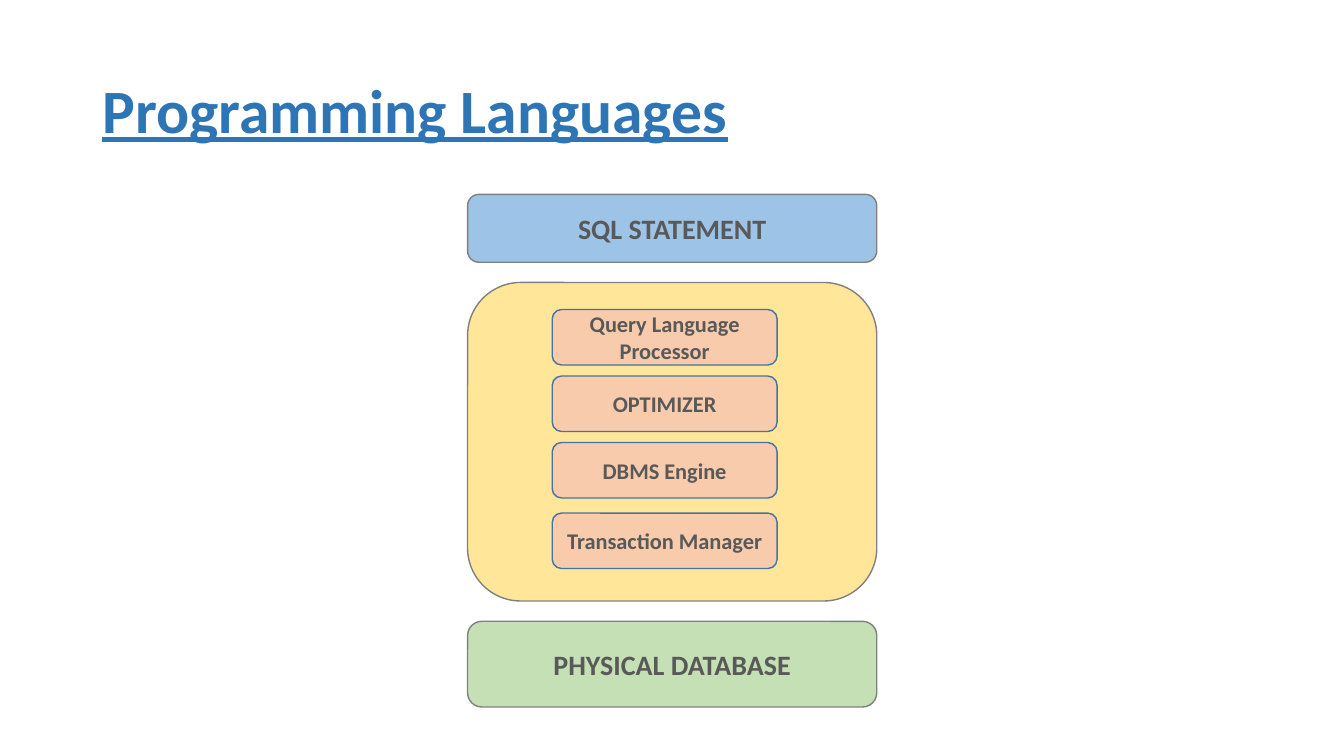
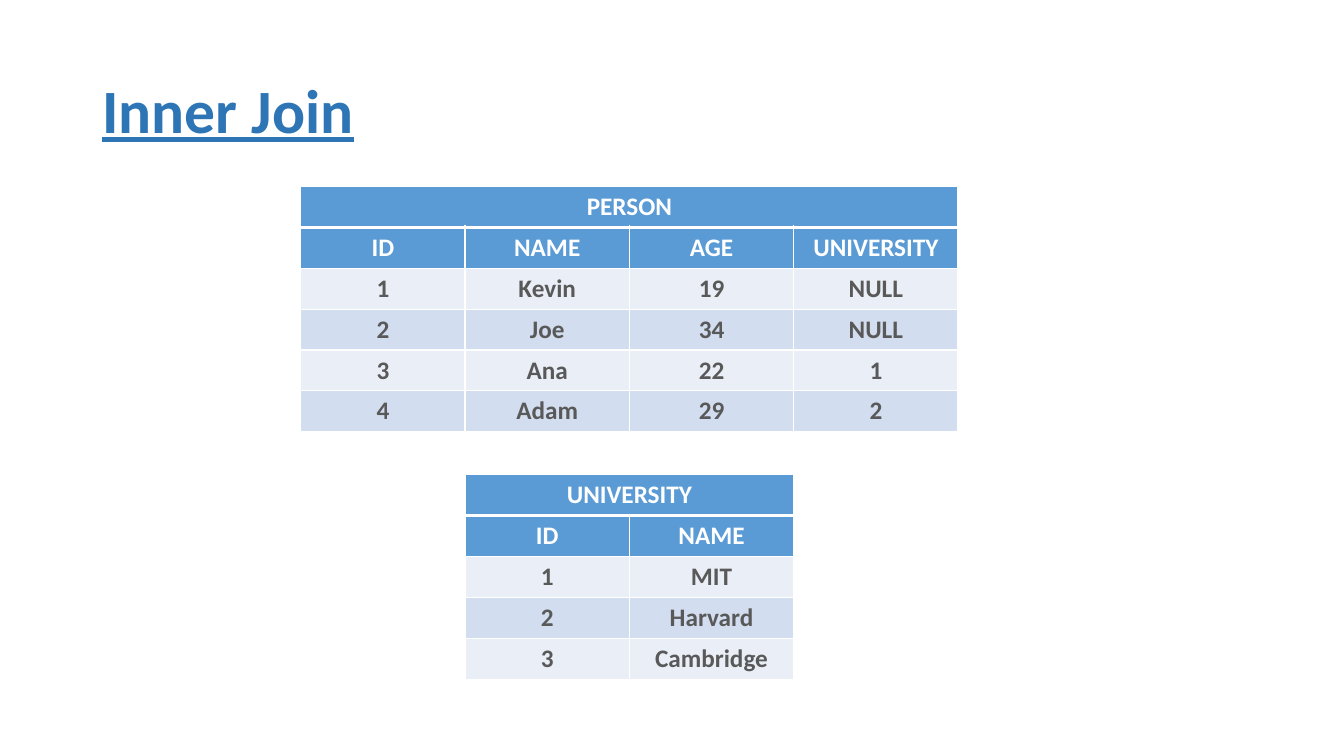
from lxml import etree
from pptx import Presentation
from pptx.dml.color import RGBColor
from pptx.enum.shapes import MSO_SHAPE
from pptx.enum.text import MSO_ANCHOR, MSO_AUTO_SIZE, PP_ALIGN
from pptx.oxml.ns import qn
from pptx.util import Pt

ROUNDED = MSO_SHAPE.ROUNDED_RECTANGLE
MIDDLE = MSO_ANCHOR.MIDDLE
NO_AUTOFIT = MSO_AUTO_SIZE.NONE
LEFT, CENTER = PP_ALIGN.LEFT, PP_ALIGN.CENTER

FONT = "Calibri"
TITLE_BLUE = "2E75B6"
INK = "595959"
WHITE = "FFFFFF"
HEADER_BLUE = "5B9BD5"
BANDS = ("EAEFF7", "D2DEEF")
GRAY_LINE = "808080"
BLUE_LINE = "43739E"
TITLE_BOX = (66, 28.8, 828, 104.4)
TITLE_ONLY = 5

STACK_GAP = 14.5
STACK_HEIGHTS = (48.5, 227.5, 61.2)
COMPONENTS = (
    (19.3, "Query Language Processor"),
    (66.8, "OPTIMIZER"),
    (114.3, "DBMS Engine"),
    (164.7, "Transaction Manager"),
)
COL_WIDTH, ROW_HEIGHT = 117.4, 29.2

PERSON = [
    ("ID", "NAME", "AGE", "UNIVERSITY"),
    ("1", "Kevin", "19", "NULL"),
    ("2", "Joe", "34", "NULL"),
    ("3", "Ana", "22", "1"),
    ("4", "Adam", "29", "2"),
]
UNIVERSITY = [
    ("ID", "NAME"),
    ("1", "MIT"),
    ("2", "Harvard"),
    ("3", "Cambridge"),
]


def rgb(value):
    return RGBColor.from_string(value)


def write(tf, text, size=18, color=INK, align=CENTER, underline=None, spacing=None):
    tf.word_wrap = True
    p = tf.paragraphs[0]
    p.alignment = align
    p.line_spacing = spacing
    r = p.add_run()
    r.text = text
    r.font.name = FONT
    r.font.size = Pt(size)
    r.font.bold = True
    r.font.underline = underline
    r.font.color.rgb = rgb(color)


def add_slide(prs, title):
    s = prs.slides.add_slide(prs.slide_layouts[TITLE_ONLY])
    sp = s.shapes.title
    sp.left, sp.top, sp.width, sp.height = map(Pt, TITLE_BOX)
    tf = sp.text_frame
    tf.auto_size = NO_AUTOFIT
    tf.vertical_anchor = MIDDLE
    write(tf, title, size=44, color=TITLE_BLUE, align=LEFT, underline=True, spacing=0.9)
    return s


def add_box(s, box, fill, line, text=None, size=20):
    sp = s.shapes.add_shape(ROUNDED, *map(Pt, box))
    sp.shadow.inherit = False
    sp.fill.solid()
    sp.fill.fore_color.rgb = rgb(fill)
    sp.line.color.rgb = rgb(line)
    sp.line.width = Pt(1)
    if text:
        sp.text_frame.vertical_anchor = MIDDLE
        write(sp.text_frame, text, size=size)


def add_components(s, left, top):
    for offset, text in COMPONENTS:
        box = (left + 60.5, top + offset, 160.6, 39.6)
        add_box(s, box, "F8CBAD", BLUE_LINE, text, size=16)


def add_stack(s, left, top, width):
    layers = (("9DC3E6", "SQL STATEMENT"), ("FFE699", None), ("C5E0B4", "PHYSICAL DATABASE"))
    for (fill, text), height in zip(layers, STACK_HEIGHTS):
        add_box(s, (left, top, width, height), fill, GRAY_LINE, text)
        if text is None:
            add_components(s, left, top)
        top += height + STACK_GAP


def set_borders(cell, top=1, bottom=1):
    tc_pr = cell._tc.get_or_add_tcPr()
    for side, width in (("L", 1), ("R", 1), ("T", top), ("B", bottom)):
        ln = etree.SubElement(tc_pr, qn(f"a:ln{side}"), w=str(Pt(width)))
        fill = etree.SubElement(ln, qn("a:solidFill"))
        etree.SubElement(fill, qn("a:srgbClr"), val=WHITE)


def add_data_table(s, left, top, name, records):
    cols = len(records[0])
    rows = [(name,) + ("",) * (cols - 1)] + records
    box = (left, top, cols * COL_WIDTH, len(rows) * ROW_HEIGHT)
    table = s.shapes.add_table(len(rows), cols, *map(Pt, box)).table
    for column in table.columns:
        column.width = Pt(COL_WIDTH)
    for i, values in enumerate(rows):
        table.rows[i].height = Pt(ROW_HEIGHT)
        header = i < 2
        for j, text in enumerate(values):
            cell = table.cell(i, j)
            set_borders(cell, top=3 if i == 1 else 1, bottom=3 if i == 0 else 1)
            cell.fill.solid()
            cell.fill.fore_color.rgb = rgb(HEADER_BLUE if header else BANDS[i % 2])
            if text:
                write(cell.text_frame, text, color=WHITE if header else INK)
    table.cell(0, 0).merge(table.cell(0, cols - 1))


def main():
    prs = Presentation()
    prs.slide_width, prs.slide_height = Pt(960), Pt(540)

    s = add_slide(prs, "Programming Languages")
    add_stack(s, 334, 138.8, 292.3)

    s = add_slide(prs, "Inner Join")
    person_left = 214.8
    add_data_table(s, person_left, 133.2, "PERSON", PERSON)
    add_data_table(s, person_left + COL_WIDTH, 339.1, "UNIVERSITY", UNIVERSITY)

    prs.save("out.pptx")


if __name__ == "__main__":
    main()
